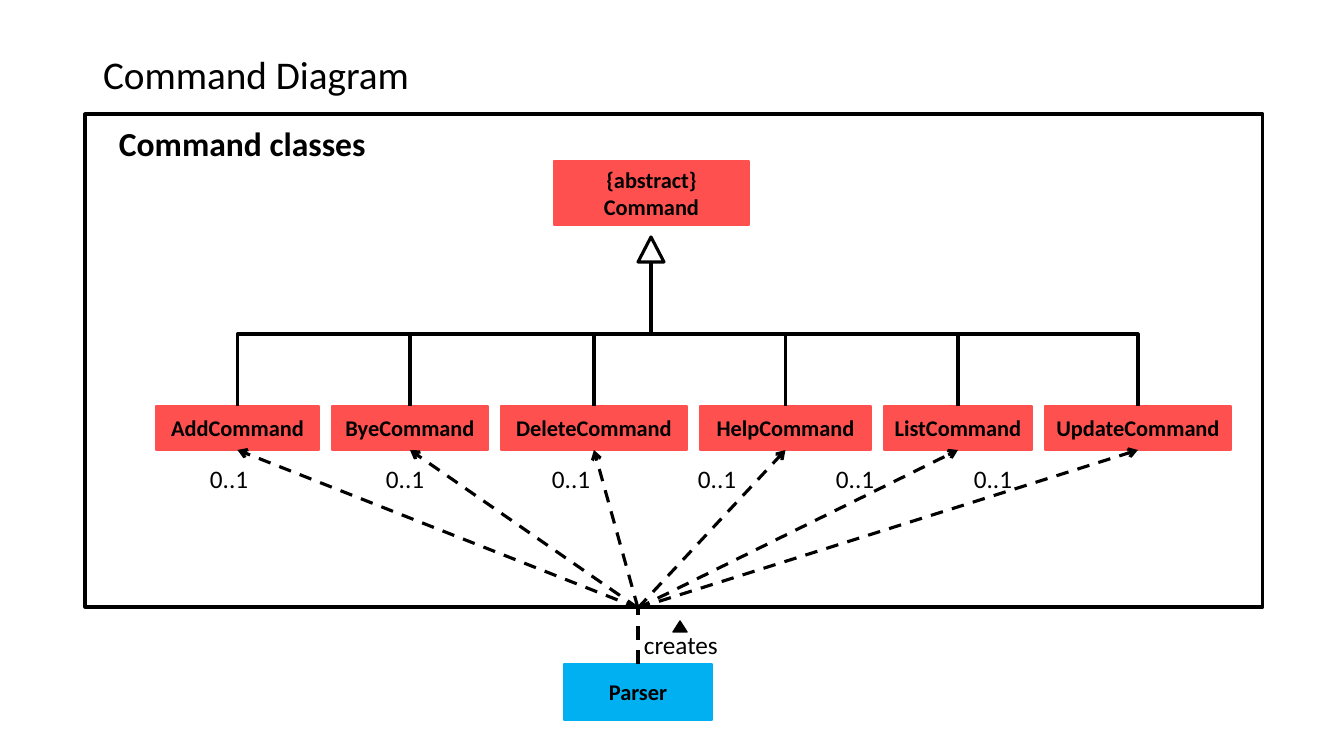
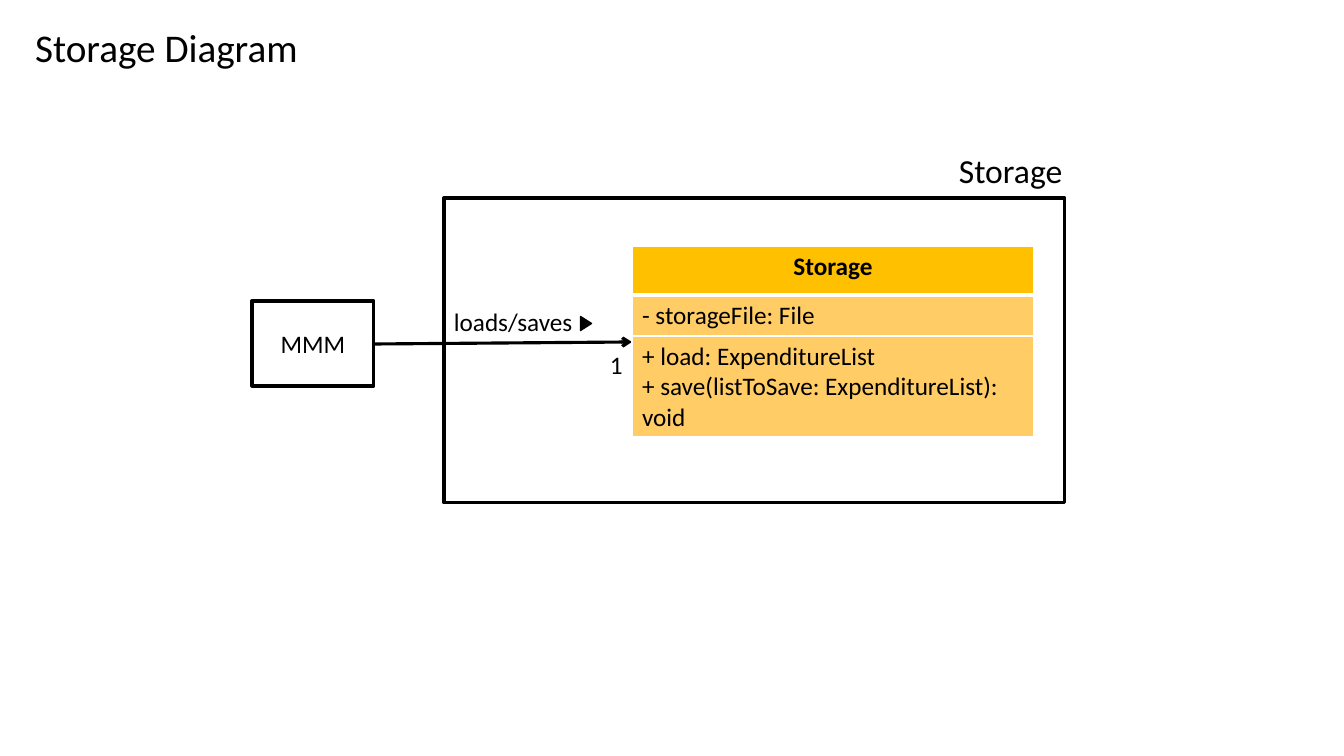
"""Build the command and storage class diagram slides."""
import lxml.etree
import pptx
import pptx.dml.color
import pptx.enum.dml
import pptx.enum.shapes
import pptx.enum.text
import pptx.oxml.ns
import pptx.util

RGB = pptx.dml.color.RGBColor
BLACK = RGB(0x00, 0x00, 0x00)
WHITE = RGB(0xFF, 0xFF, 0xFF)
RED = RGB(0xFF, 0x50, 0x50)
BLUE = RGB(0x00, 0xB0, 0xF0)
GOLD = RGB(0xFF, 0xC0, 0x00)
SAND = RGB(0xFF, 0xCC, 0x66)

SHAPE = pptx.enum.shapes.MSO_SHAPE
CONNECTOR = pptx.enum.shapes.MSO_CONNECTOR
ALIGN = pptx.enum.text.PP_ALIGN
ANCHOR = pptx.enum.text.MSO_ANCHOR
FIT = pptx.enum.text.MSO_AUTO_SIZE
DASH = pptx.enum.dml.MSO_LINE.DASH
Pt = pptx.util.Pt
qn = pptx.oxml.ns.qn

FONT = "Calibri"
STROKE = 2.25
TITLE_ONLY = 5


def px(*lengths):
    """Turn pixel lengths into EMU."""
    return [round(length * 914400 / 100.8) for length in lengths]


def write_text(frame, text, size=18, bold=False, align=ALIGN.LEFT, spacing=None):
    """Fill a text frame with one paragraph for each line of text."""
    for index, line in enumerate(text.split("\n")):
        paragraph = frame.paragraphs[0] if index == 0 else frame.add_paragraph()
        paragraph.alignment = align
        paragraph.line_spacing = spacing
        run = paragraph.add_run()
        run.text = line
        run.font.name = FONT
        run.font.size = Pt(size)
        run.font.bold = bold
        run.font.color.rgb = BLACK


class Diagram:
    """Holds the presentation style and draws on the current slide."""

    def __init__(self):
        """Open an empty widescreen presentation."""
        self.deck = pptx.Presentation()
        self.deck.slide_width, self.deck.slide_height = px(1344, 756)
        self.slide = None

    def start(self, title, *place):
        """Add a slide with its title at the given place."""
        layout = self.deck.slide_layouts[TITLE_ONLY]
        self.slide = self.deck.slides.add_slide(layout)
        heading = self.slide.shapes.title
        heading.left, heading.top, heading.width, heading.height = px(*place)
        frame = heading.text_frame
        frame.auto_size = FIT.NONE
        frame.vertical_anchor = ANCHOR.MIDDLE
        write_text(frame, title, size=28, spacing=0.9)

    def shape(self, kind, place, fill=None, line=BLACK, weight=STROKE, turn=0):
        """Add a preset shape, unfilled unless a fill is given."""
        shape = self.slide.shapes.add_shape(kind, *px(*place))
        shape.shadow.inherit = False
        shape.rotation = turn
        if fill is None:
            shape.fill.background()
        else:
            shape.fill.solid()
            shape.fill.fore_color.rgb = fill
        shape.line.color.rgb = line
        shape.line.width = Pt(weight)
        return shape

    def class_box(self, text, place, fill, line=None, weight=1, size=16, bold=True):
        """Add a rectangle with centred text."""
        box = self.shape(SHAPE.RECTANGLE, place, fill, line or fill, weight)
        box.text_frame.word_wrap = False
        box.text_frame.vertical_anchor = ANCHOR.MIDDLE
        write_text(box.text_frame, text, size=size, bold=bold, align=ALIGN.CENTER)
        return box

    def frame(self, *place):
        """Add the outline of a component."""
        self.shape(SHAPE.RECTANGLE, place)

    def direction(self, *place, turn=0):
        """Add the small solid triangle that shows reading direction."""
        self.shape(SHAPE.ISOSCELES_TRIANGLE, place, BLACK, weight=1, turn=turn)

    def label(self, text, *place, **style):
        """Add a text box."""
        box = self.slide.shapes.add_textbox(*px(*place))
        box.text_frame.word_wrap = True
        box.text_frame.auto_size = FIT.SHAPE_TO_FIT_TEXT
        write_text(box.text_frame, text, **style)

    def line(self, start, end, kind=CONNECTOR.STRAIGHT, weight=STROKE,
             dash=None, arrow=False):
        """Add a black connector, with an arrowhead at its end on request."""
        connector = self.slide.shapes.add_connector(kind, *px(*start, *end))
        connector.line.color.rgb = BLACK
        connector.line.width = Pt(weight)
        if dash is not None:
            connector.line.dash_style = dash
        properties = connector.element.spPr
        if arrow:
            stroke = properties.find(qn("a:ln"))
            lxml.etree.SubElement(stroke, qn("a:tailEnd"), type="arrow")
        lxml.etree.SubElement(properties, qn("a:effectLst"))
        return connector

    def branch(self, top, bottom):
        """Add an elbow that leaves and arrives vertically."""
        (x1, y1), (x2, y2) = top, bottom
        middle_x, middle_y = (x1 + x2) / 2, (y1 + y2) / 2
        half_rise, half_run = (y2 - y1) / 2, (x2 - x1) / 2
        elbow = self.line((middle_x - half_rise, middle_y + half_run),
                          (middle_x + half_rise, middle_y - half_run),
                          CONNECTOR.ELBOW)
        elbow.element.spPr.find(qn("a:xfrm")).set("rot", str(90 * 60000))

    def class_table(self, left, top, width, rows):
        """Add a one-column class table of (text, height, fill) rows."""
        heights = [height for _, height, _ in rows]
        holder = self.slide.shapes.add_table(
            len(rows), 1, *px(left, top, width, sum(heights)))
        table = holder.table
        table.horz_banding = False
        for index, (text, height, fill) in enumerate(rows):
            table.rows[index].height = px(height)[0]
            cell = table.cell(index, 0)
            header = index == 0
            write_text(cell.text_frame, text, bold=header,
                       align=ALIGN.CENTER if header else ALIGN.LEFT)
            self.cell_borders(cell, L=1, R=1, T=3 if index == 1 else 1,
                              B=3 if header else 1)
            cell.fill.solid()
            cell.fill.fore_color.rgb = fill

    def cell_borders(self, cell, **weights):
        """Draw white cell borders with the given weights by side."""
        properties = cell._tc.get_or_add_tcPr()
        for side, weight in weights.items():
            border = lxml.etree.SubElement(
                properties, qn("a:ln" + side), w=str(Pt(weight)))
            fill = lxml.etree.SubElement(border, qn("a:solidFill"))
            lxml.etree.SubElement(fill, qn("a:srgbClr"), val=str(WHITE))


def command_slide(diagram):
    """Draw the command hierarchy and the parser that creates it."""
    diagram.start("Command Diagram", 93, 40, 352, 74)
    diagram.class_box("{abstract}\nCommand", (554, 161, 195, 64), RED)
    diagram.shape(SHAPE.ISOSCELES_TRIANGLE, (638, 237, 26, 25), WHITE)
    commands = [("Add", 163, 200), ("Bye", 156, 376), ("Delete", 186, 542),
                ("Help", 171, 688), ("List", 148, 826), ("Update", 186, 964)]
    gap, top, height = 13, 406, 44
    fan_out = (638, 608)
    left = 156
    for name, width, count_left in commands:
        box = diagram.class_box(name + "Command", (left, top, width, height), RED)
        centre = left + width / 2
        diagram.branch((651, 262), (centre, top))
        creation = diagram.line(fan_out, (centre, top + height),
                                dash=DASH, arrow=True)
        creation.end_connect(box, 2)
        diagram.label("0..1", count_left, 458, 62, 40)
        left += width + gap
    diagram.class_box("Parser", (564, 664, 148, 56), BLUE)
    diagram.line((638, 664), fan_out, weight=2.5, dash=DASH)
    diagram.label("creates", 634, 624, 122, 40)
    diagram.direction(673, 621, 14, 11)
    diagram.frame(85, 114, 1178, 493)
    diagram.label("Command classes", 109, 118, 280, 50, size=24, bold=True)


def storage_slide(diagram):
    """Draw the storage class and its user."""
    diagram.start("Storage Diagram", 25, 19, 341, 62)
    diagram.class_box("MMM", (252, 301, 122, 85), WHITE, line=BLACK,
                      weight=STROKE, size=18, bold=False)
    diagram.line((374, 344), (632, 342), arrow=True)
    diagram.direction(579, 318, 14, 11, turn=90)
    diagram.label("loads/saves", 444, 301, 148, 40)
    diagram.label("1", 600, 344, 32, 40)
    diagram.frame(444, 198, 621, 305)
    diagram.label("Storage", 949, 145, 152, 50, size=24)
    diagram.class_table(632, 246, 402, [
        ("Storage", 49, GOLD),
        ("- storageFile: File", 41, SAND),
        ("+ load: ExpenditureList\n"
         "+ save(listToSave: ExpenditureList): void", 101, SAND),
    ])


diagram = Diagram()
command_slide(diagram)
storage_slide(diagram)
diagram.deck.save("out.pptx")
